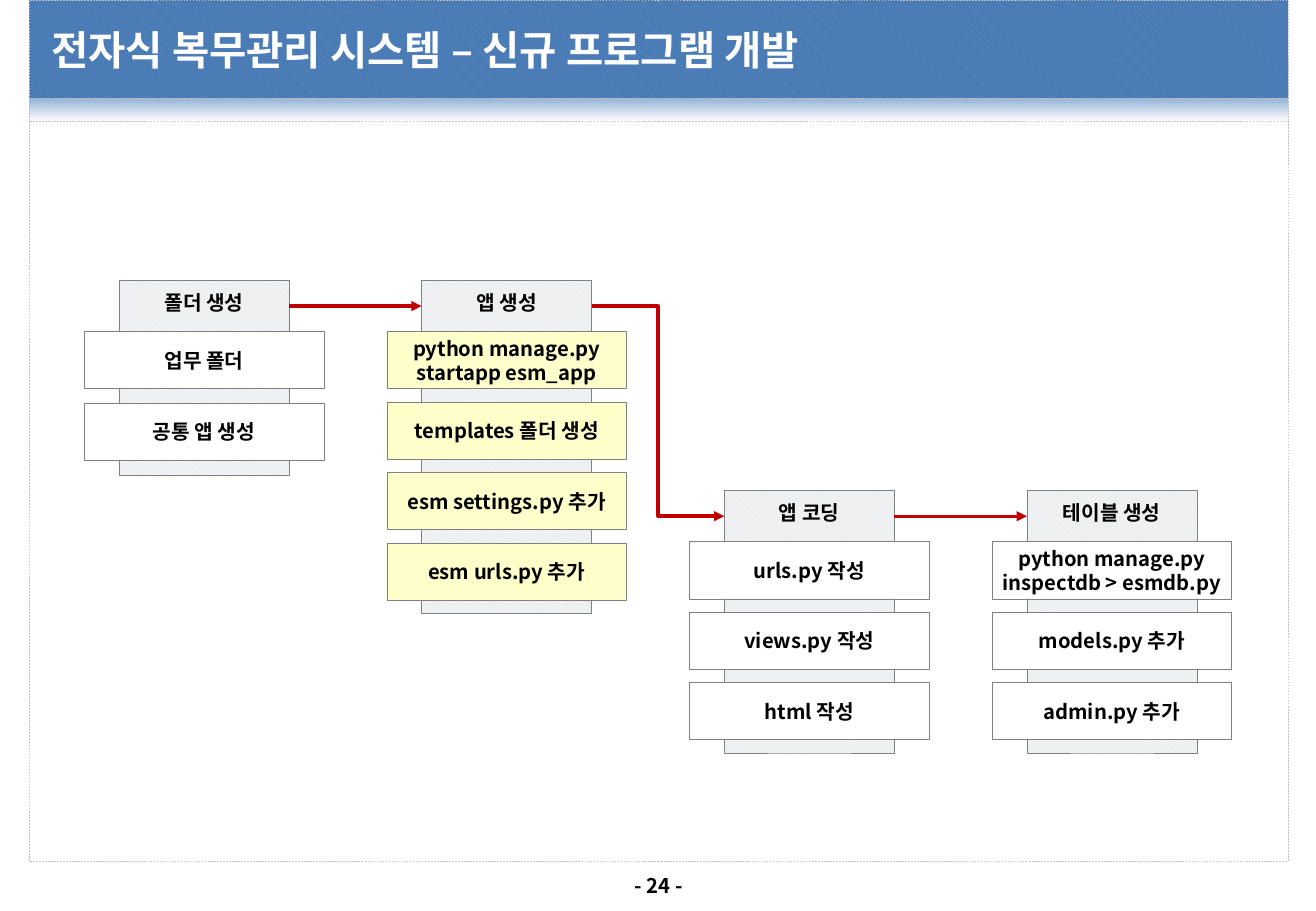
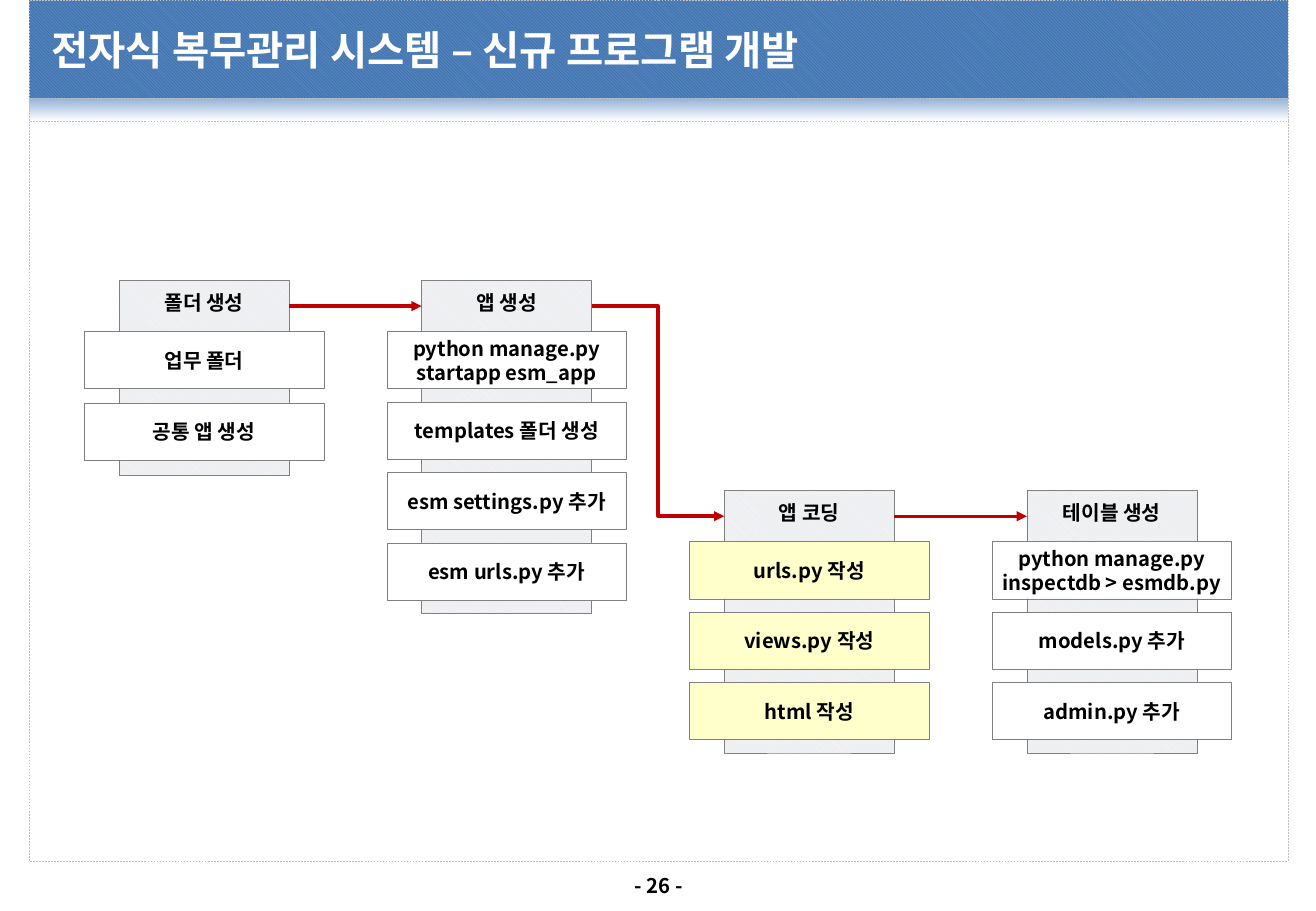
from lxml import etree
from pptx import Presentation
from pptx import util as u
from pptx.dml.color import RGBColor
from pptx.enum import dml, shapes, text
from pptx.oxml.ns import qn

HUES = {
    "white": "FFFFFF", "black": "000000", "band": "4F81BD", "weave": "376092",
    "glow": "95B3D7", "frame": "BFBFBF", "bar": "F2F2F2", "hatch": "DCE6F2",
    "edge": "808080", "mark": "FFFFCC", "arrow": "C00000",
}
FONT = "Noto Sans CJK KR"
TITLE = "전자식 복무관리 시스템 – 신규 프로그램 개발"

# Heading, top, card pitch, cards
STAGES = [
    ("폴더 생성", 2.31, 0.59, ["업무 폴더", "공통 앱 생성"]),
    ("앱 생성", 2.31, 0.58, ["python manage.py startapp esm_app", "templates 폴더 생성",
                          "esm settings.py 추가", "esm urls.py 추가"]),
    ("앱 코딩", 4.04, 0.58, ["urls.py 작성", "views.py 작성", "html 작성"]),
    ("테이블 생성", 4.04, 0.58, ["python manage.py inspectdb > esmdb.py",
                            "models.py 추가", "admin.py 추가"]),
]
# Page number, index of the highlighted stage
PAGES = [(24, 1), (26, 2)]

LEFT, STEP = 0.98, 2.49
BAR_W, CARD_W, CARD_H = 1.4, 1.97, 0.47
HEAD, MID = 0.42, 0.21


def box(home, at, fills, edge):
    """Add a rectangle: one fill is solid, two are pattern front and back."""
    shape = home.add_shape(shapes.MSO_SHAPE.RECTANGLE, *map(u.Inches, at))
    shape.shadow.inherit = False
    hues = [RGBColor.from_string(HUES[name]) for name in fills]
    if len(hues) == 1:
        shape.fill.solid()
        shape.fill.fore_color.rgb = hues[0]
    else:
        shape.fill.patterned()
        shape.fill.pattern = dml.MSO_PATTERN.LIGHT_DOWNWARD_DIAGONAL
        shape.fill.fore_color.rgb, shape.fill.back_color.rgb = hues
    shape.line.color.rgb = RGBColor.from_string(HUES[edge])
    shape.line.width = u.Pt(0.25)
    return shape


def write(shape, words, size=12, hue="black", align="CENTER", anchor="MIDDLE",
          pad=(0.04, 0.04), wrap=True):
    frame = shape.text_frame
    side, end = map(u.Inches, pad)
    looks = {"margin_left": side, "margin_right": side, "margin_top": end,
             "margin_bottom": end, "word_wrap": wrap,
             "auto_size": text.MSO_AUTO_SIZE.NONE,
             "vertical_anchor": text.MSO_ANCHOR[anchor]}
    for key, value in looks.items():
        setattr(frame, key, value)
    para = frame.paragraphs[0]
    para.alignment = text.PP_ALIGN[align]
    run = para.add_run()
    run.text = words
    for key, value in {"name": FONT, "size": u.Pt(size), "bold": True}.items():
        setattr(run.font, key, value)
    run.font.color.rgb = RGBColor.from_string(HUES[hue])
    etree.SubElement(run.font._element, qn("a:ea"), typeface=FONT)


deck = Presentation()
deck.slide_width, deck.slide_height = u.Inches(10.83), u.Inches(7.5)
layout = deck.slide_layouts[5]
pages = [deck.slides.add_slide(layout) for page in PAGES]

# The frame is built on a slide, then handed to the layout
home = pages[0].shapes
body = box(home, (0.24, 1, 10.36, 6.09), ["white"], "frame")
band = box(home, (0.24, 0, 10.36, 0.81), ["weave", "band"], "frame")
band.rotation = 180
glow = box(home, (0.24, 0.81, 10.36, 0.19), ["white"], "frame")
glow.fill.gradient()
glow.fill.gradient_angle = 270
for stop, name in zip(glow.fill.gradient_stops, ["glow", "white"]):
    stop.color.rgb = RGBColor.from_string(HUES[name])
for part in (body, band, glow):
    part.line.dash_style = dml.MSO_LINE.DASH
    layout.shapes.element.append(part.element)

for slide, (number, chosen) in zip(pages, PAGES):
    title = slide.shapes.title
    title.left, title.top, title.width, title.height = map(
        u.Inches, (0.38, 0.08, 10.09, 0.66))
    write(title, TITLE, size=24, hue="white", align="LEFT")
    foot = slide.shapes.add_textbox(*map(u.Inches, (5.08, 7.14, 0.68, 0.3)))
    write(foot, f"- {number} -", anchor="TOP", pad=(0.1, 0.05), wrap=False)

    for i, (name, top, pitch, cards) in enumerate(STAGES):
        x = LEFT + i * STEP
        group = slide.shapes.add_group_shape().shapes
        bar = box(group, (x, top, BAR_W, HEAD + len(cards) * pitch),
                  ["hatch", "bar"], "edge")
        write(bar, name, anchor="TOP", pad=(0.04, 0.08), wrap=False)
        for j, words in enumerate(cards):
            at = (x - (CARD_W - BAR_W) / 2, top + HEAD + j * pitch, CARD_W, CARD_H)
            card = box(group, at, ["mark" if i == chosen else "white"], "edge")
            write(card, words)

    for i, (now, then) in enumerate(zip(STAGES, STAGES[1:])):
        x = LEFT + i * STEP
        kind = "STRAIGHT" if now[1] == then[1] else "ELBOW"
        ends = (x + BAR_W, now[1] + MID, x + STEP, then[1] + MID)
        arrow = slide.shapes.add_connector(shapes.MSO_CONNECTOR[kind],
                                           *map(u.Inches, ends))
        arrow.line.color.rgb = RGBColor.from_string(HUES["arrow"])
        arrow.line.width = u.Pt(2)
        etree.SubElement(arrow.line._get_or_add_ln(), qn("a:tailEnd"), type="triangle")
        etree.SubElement(arrow.element.spPr, qn("a:effectLst"))

deck.save("out.pptx")
